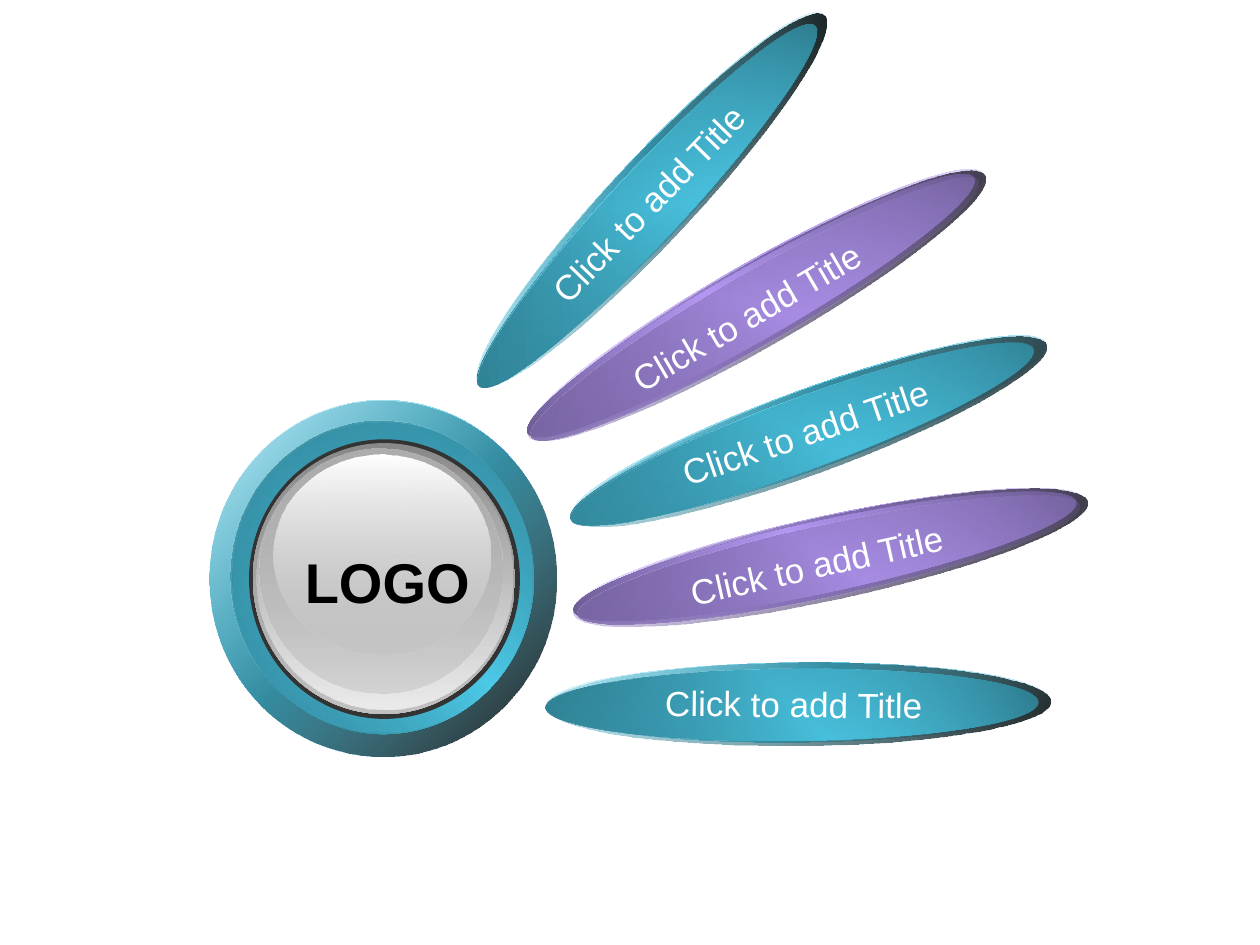
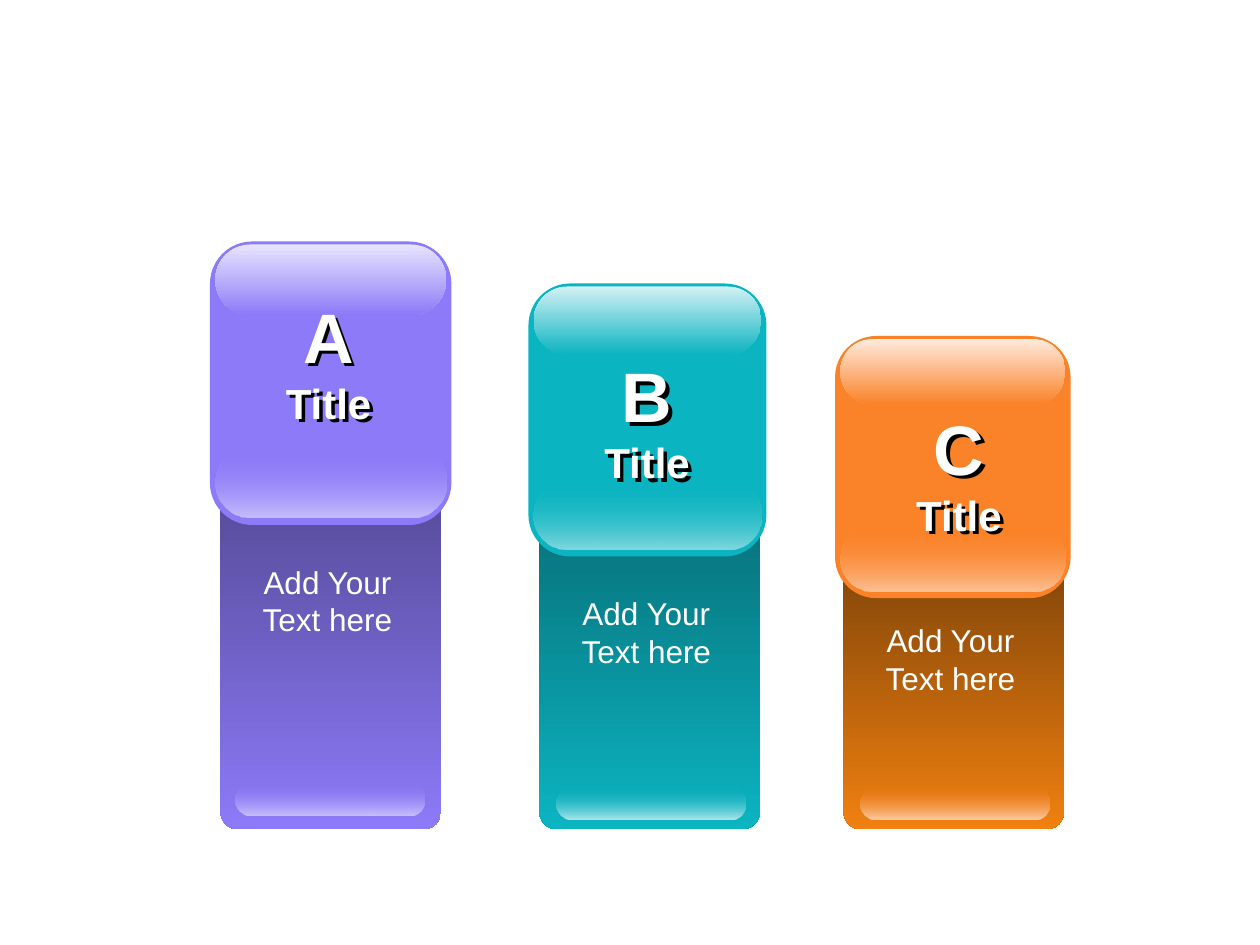
from dataclasses import dataclass
from typing import NamedTuple

from lxml import etree
from pptx import Presentation
from pptx.dml.color import RGBColor
from pptx.enum.shapes import MSO_SHAPE
from pptx.enum.text import MSO_AUTO_SIZE, PP_ALIGN
from pptx.oxml.ns import qn
from pptx.util import Pt

WHITE, BLACK, SILVER = "FFFFFF", "000000", "C0C0C0"
FONT = "Arial"


class Box(NamedTuple):
    left: float
    top: float
    width: float
    height: float


class Stop(NamedTuple):
    color: str
    opacity: int = 100


class Line(NamedTuple):
    text: str
    size: float


@dataclass(frozen=True)
class Palette:
    accent: str
    edge: str
    sheen: str


@dataclass(frozen=True)
class PillStyle:
    palette: Palette
    sizes: tuple[tuple[float, float], ...]  # rim, shade, face
    sheen_shift: float


@dataclass(frozen=True)
class Pill:
    style: PillStyle
    rim: tuple[float, float]
    face: tuple[float, float]
    rotation: float
    title: tuple[float, float]
    title_rotation: float


@dataclass(frozen=True)
class Column:
    letter: str
    accent: str
    base: tuple[str, str]
    glow: str
    shine: str
    foot_glow: str
    left: float
    top: float
    cap: Box
    heading: tuple[float, float]
    body_top: float
    foot: tuple[float, float]


TEAL = Palette("4CCAE8", "296E7E", "308093")
PURPLE = Palette("B296F2", "615284", "715F9A")
TEAL_PILL = PillStyle(TEAL, ((287.3, 45.4), (288, 47.5), (281.5, 41)), 0)
PURPLE_PILL = PillStyle(PURPLE, ((298.8, 45.4), (300.2, 47.5), (293.8, 41)), 2)

PILLS = [
    Pill(TEAL_PILL, (228.3, 90.7), (229, 97.2), 313, (289.4, 100.1), 314.2),
    Pill(PURPLE_PILL, (282.2, 150.8), (282.2, 154.1), 330.2, (345.6, 164.9), 329.7),
    Pill(TEAL_PILL, (318.6, 222.8), (317.5, 227.5), 339.9, (379.4, 231.1), 341.1),
    Pill(PURPLE_PILL, (324.5, 294.8), (324.5, 297.4), 347.8, (385.9, 306.7), 347.3),
    Pill(TEAL_PILL, (312.3, 378.7), (311.8, 382.3), 359.4, (373, 386.6), 0.6),
]

DISC = Box(119.9, 228.7, 198, 203.8)
DISC_FACE = Box(133, 241.7, 172.1, 177.8)
DISC_SHEEN = Box(131.8, 240.5, 172.1, 177.8)
BUTTON_RINGS = [
    (Box(142.3, 251, 154.8, 159.8), [Stop("333333")]),
    (Box(144.5, 253.2, 149.8, 154.8), [Stop("898989"), Stop(SILVER)]),
    (Box(146.7, 254.7, 146.2, 150.5), [Stop(SILVER, 0), Stop("EBEBEB")]),
    (Box(148.2, 256.1, 139, 140.4), [Stop("AEAEAE"), Stop(SILVER, 48)]),
    (Box(156.2, 259.7, 123.8, 114.5), [Stop(WHITE), Stop(SILVER, 38)]),
]

COLUMN_WIDTH, COLUMN_BOTTOM = 126, 474
COLUMNS = [
    Column("A", "8C7AF8", ("524791", "8C7AF8"), "C6BEFC", "E8E4FE", "CBC2FC",
           126, 264, Box(120, 138, 138, 162), (155.7, 164.2), 318, (134.6, 448)),
    Column("B", "0BB4C1", ("076F78", "0BB4C1"), "83D9DF", "D3F1F4", "B6E8EC",
           308.2, 288, Box(302, 162, 136, 156), (337.7, 198), 336.2, (318.2, 450)),
    Column("C", "FA8228", ("733D08", "F08010"), "FDC296", "FEEBDD", "FDCEAA",
           482, 300, Box(477.2, 192, 134.6, 149.8), (515.9, 228.2), 351.4, (491.8, 450)),
]


def rgb(color: str) -> RGBColor:
    return RGBColor.from_string(color)


def paint(shape, stops: list[Stop], angle: float) -> None:
    """Fill with one colour, or with evenly spread stops at a clockwise angle."""
    if len(stops) == 1:
        shape.fill.solid()
        shape.fill.fore_color.rgb = rgb(stops[0].color)
        return
    gradient = etree.Element(qn("a:gradFill"), rotWithShape="1")
    stop_list = etree.SubElement(gradient, qn("a:gsLst"))
    for index, stop in enumerate(stops):
        position = 100000 * index // (len(stops) - 1)
        entry = etree.SubElement(stop_list, qn("a:gs"), pos=str(position))
        color = etree.SubElement(entry, qn("a:srgbClr"), val=stop.color)
        if stop.opacity < 100:
            etree.SubElement(color, qn("a:alpha"), val=str(stop.opacity * 1000))
    etree.SubElement(gradient, qn("a:lin"), ang=str(angle * 60000), scaled="0")
    shape.element.spPr.find(qn("a:prstGeom")).addnext(gradient)


def add_solid(shapes, kind: MSO_SHAPE, box: Box, stops: list[Stop],
              angle: int = 90, rotation: float = 0):
    shape = shapes.add_shape(kind, *map(Pt, box))
    shape.shadow.inherit = False
    shape.line.fill.background()
    shape.rotation = rotation
    paint(shape, stops, angle)
    return shape


def add_rounded(shapes, box: Box, roundness: float, stops: list[Stop]) -> None:
    add_solid(shapes, MSO_SHAPE.ROUNDED_RECTANGLE, box, stops).adjustments[0] = roundness


def add_bevel(shapes, palette: Palette, boxes: list[Box], rotation: float = 0) -> None:
    """Stack rim, shade, face and sheen ellipses."""
    accent, edge = Stop(palette.accent), Stop(palette.edge)
    layers = [
        ([Stop(WHITE), accent, Stop(WHITE)], 45),
        ([Stop(palette.accent, 32), Stop(BLACK, 90)], 45),
        ([edge, accent, edge], 315),
        ([Stop(palette.sheen), Stop(palette.accent, 0)], 45),
    ]
    for box, (stops, angle) in zip(boxes, layers, strict=True):
        add_solid(shapes, MSO_SHAPE.OVAL, box, stops, angle, rotation)


def add_shadow(text_box) -> None:
    """Cast a hard shadow, which falls from the letters as the box has no fill."""
    effects = etree.SubElement(text_box.element.spPr, qn("a:effectLst"))
    shadow = etree.SubElement(effects, qn("a:outerShdw"), dist="35921", dir="2700000",
                              algn="ctr", rotWithShape="0")
    etree.SubElement(shadow, qn("a:srgbClr"), val=BLACK)


def add_text(shapes, box: Box, lines: list[Line], color: str = WHITE, bold: bool = False,
             align: PP_ALIGN = PP_ALIGN.CENTER, rotation: float = 0):
    text_box = shapes.add_textbox(*map(Pt, box))
    text_box.rotation = rotation
    frame = text_box.text_frame
    frame.word_wrap = False
    frame.auto_size = MSO_AUTO_SIZE.SHAPE_TO_FIT_TEXT
    for index, line in enumerate(lines):
        paragraph = frame.add_paragraph() if index else frame.paragraphs[0]
        paragraph.alignment = align
        run = paragraph.add_run()
        run.text = line.text
        for key, value in {"name": FONT, "size": Pt(line.size), "bold": bold}.items():
            setattr(run.font, key, value)
        run.font.color.rgb = rgb(color)
    return text_box


def add_disc(shapes) -> None:
    add_bevel(shapes, TEAL, [DISC, DISC, DISC_FACE, DISC_SHEEN])
    for box, stops in BUTTON_RINGS:
        add_solid(shapes, MSO_SHAPE.OVAL, box, stops)
    add_text(shapes, Box(167, 309.2, 108.7, 45.4), [Line("LOGO", 32)], BLACK, bold=True)


def add_pill(shapes, pill: Pill) -> None:
    rim, shade, face = pill.style.sizes
    sheen_start = [place + pill.style.sheen_shift for place in pill.face]
    boxes = [Box(*pill.rim, *rim), Box(*pill.rim, *shade),
             Box(*pill.face, *face), Box(*sheen_start, *face)]
    add_bevel(shapes, pill.style.palette, boxes, pill.rotation)
    add_text(shapes, Box(*pill.title, 162.7, 31), [Line("Click to add Title", 20)],
             align=PP_ALIGN.LEFT, rotation=pill.title_rotation)


def add_column(shapes, column: Column) -> None:
    cap, clear = column.cap, Stop(column.accent, 0)
    band_left, band_width, band_height = cap.left + 3, cap.width - 6, cap.height / 4
    glow_top = cap.top + cap.height - 4 - band_height
    base = Box(column.left, column.top, COLUMN_WIDTH, COLUMN_BOTTOM - column.top)

    add_rounded(shapes, base, 0.08, [Stop(color) for color in column.base])
    add_text(shapes, Box(column.left + 15.8, column.body_top, 90.7, 50.4),
             [Line("Add Your", 18), Line("Text here", 18)])
    add_rounded(shapes, cap, 0.175, [Stop(column.accent)])
    add_rounded(shapes, Box(band_left, glow_top, band_width, band_height), 0.5,
                [clear, Stop(column.glow)])
    add_rounded(shapes, Box(band_left, cap.top + 1.7, band_width, band_height), 0.5,
                [Stop(column.shine), Stop(column.accent)])
    heading = add_text(shapes, Box(*column.heading, 64.1, 84.2),
                       [Line(column.letter, 40), Line("Title", 24)], bold=True)
    add_shadow(heading)
    add_rounded(shapes, Box(*column.foot, 108, 18), 0.5, [clear, Stop(column.foot_glow)])


def main() -> None:
    deck = Presentation()
    deck.slide_width, deck.slide_height = Pt(720), Pt(540)
    fan, columns = (deck.slides.add_slide(deck.slide_layouts[6]) for _ in range(2))
    add_disc(fan.shapes.add_group_shape().shapes)
    for pill in PILLS:
        add_pill(fan.shapes.add_group_shape().shapes, pill)
    for column in COLUMNS:
        add_column(columns.shapes.add_group_shape().shapes, column)
    deck.save("out.pptx")


if __name__ == "__main__":
    main()
